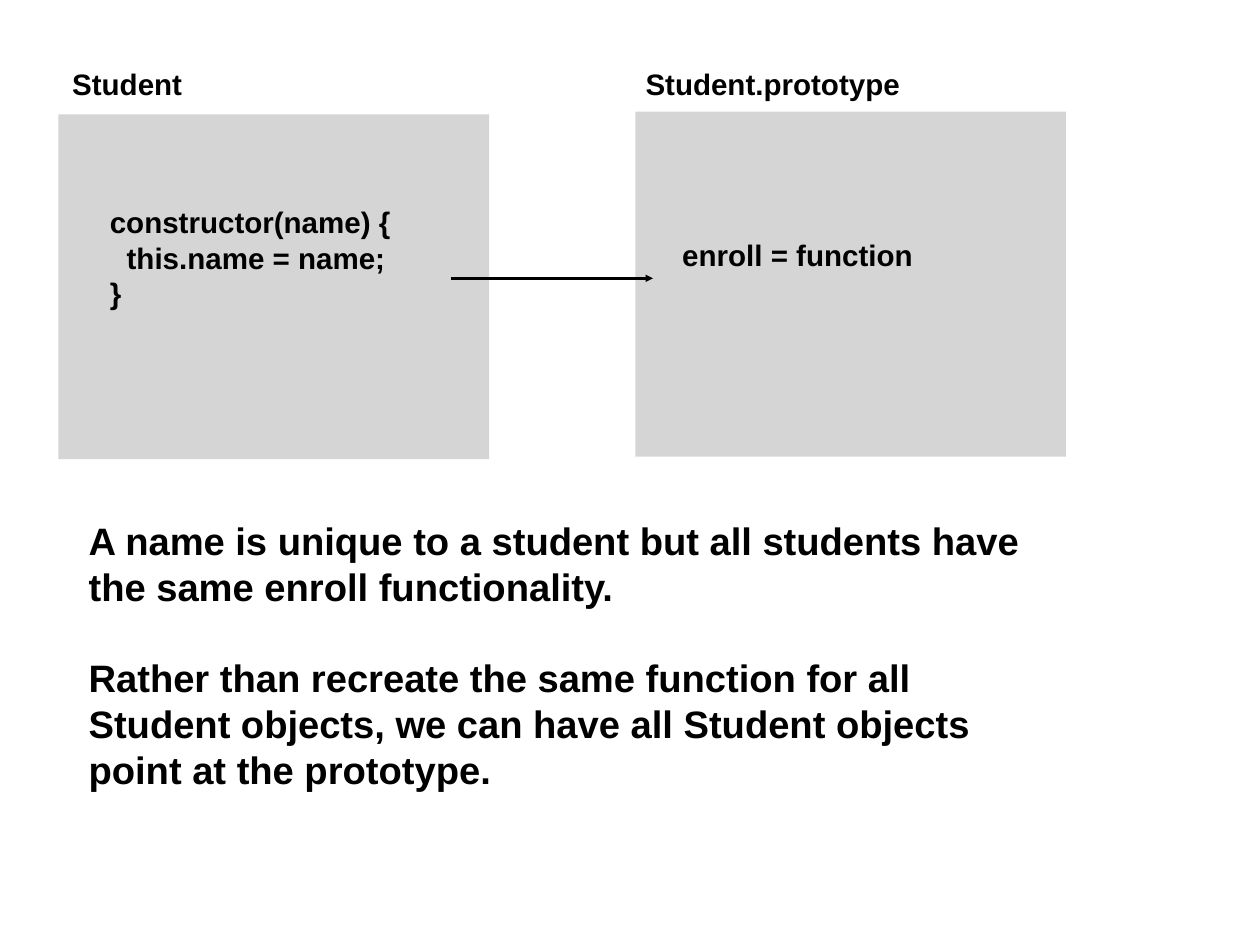
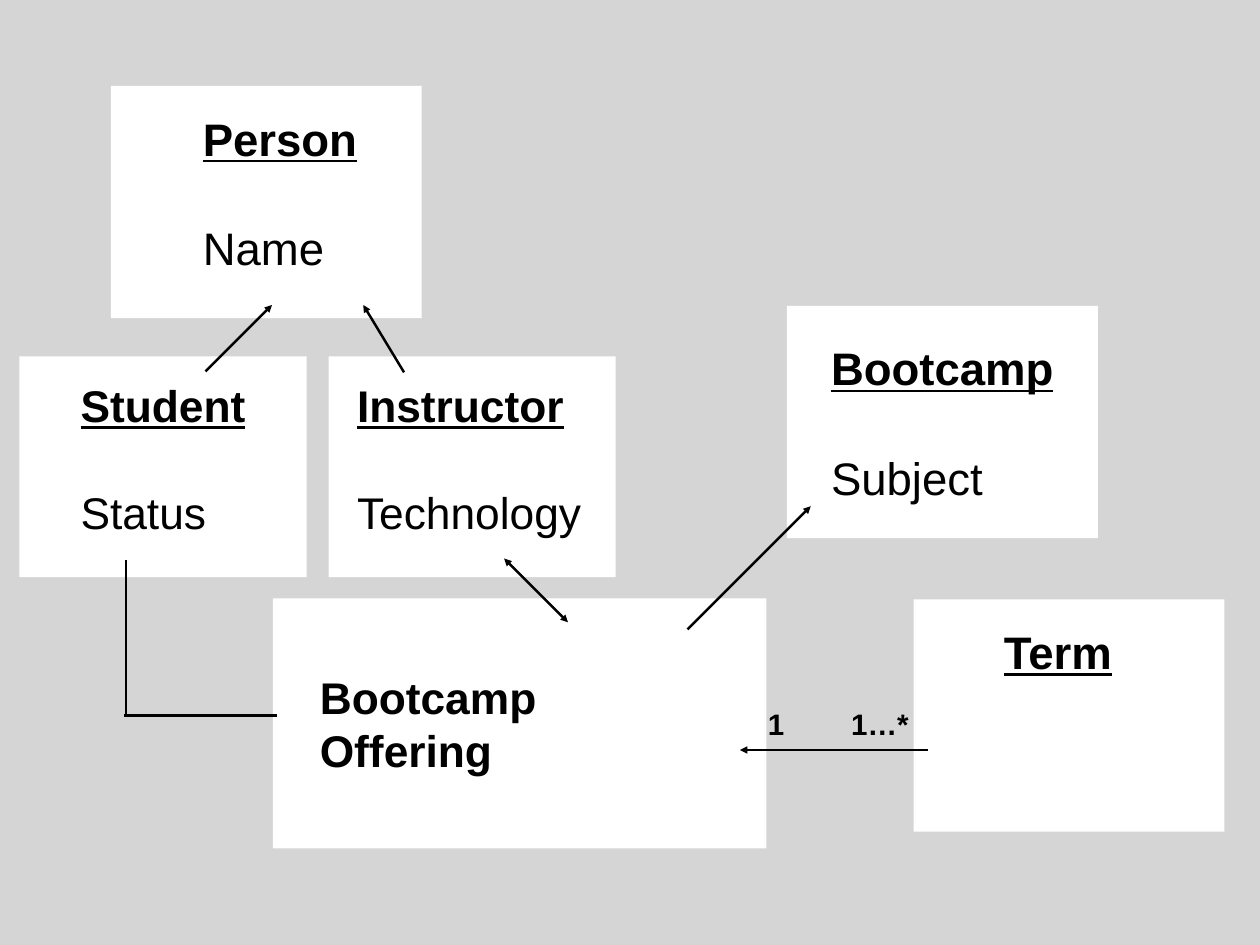
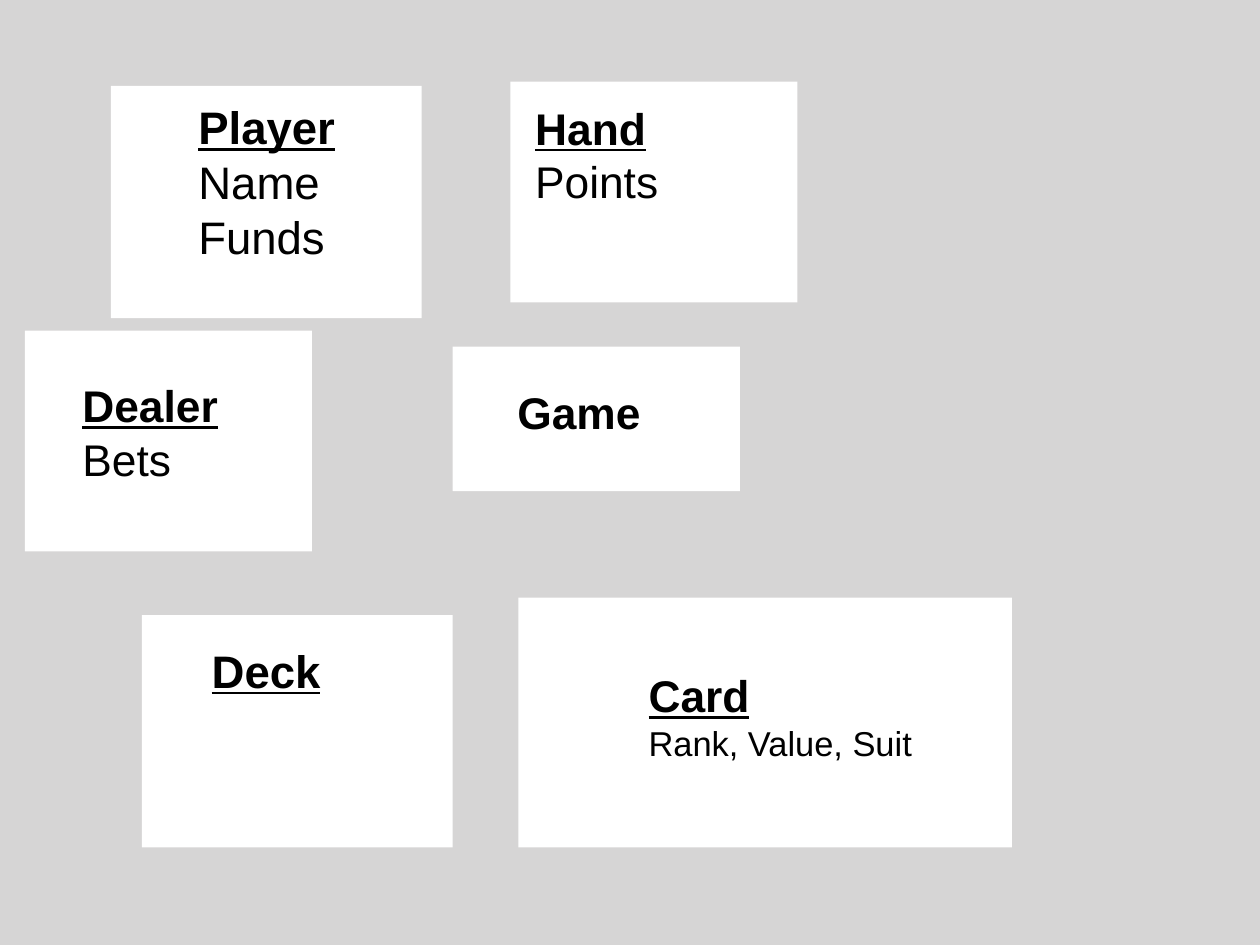
from lxml import etree
from pptx import Presentation
from pptx.dml.color import RGBColor
from pptx.enum.shapes import MSO_CONNECTOR, MSO_SHAPE
from pptx.enum.text import MSO_ANCHOR, MSO_AUTO_SIZE, PP_ALIGN
from pptx.oxml.ns import qn
from pptx.util import Inches, Pt

RECT = MSO_SHAPE.RECTANGLE
LINE = MSO_CONNECTOR.STRAIGHT
TOP, MIDDLE = MSO_ANCHOR.TOP, MSO_ANCHOR.MIDDLE
LEFT, CENTER = PP_ALIGN.LEFT, PP_ALIGN.CENTER
GROW = MSO_AUTO_SIZE.SHAPE_TO_FIT_TEXT

FONT = "Arial"
BLACK, WHITE, GREY = "000000", "FFFFFF", "D6D5D5"
LARGE, MEDIUM, WIDE, LOW = (3.51, 2.62), (3.24, 2.49), (5.57, 2.82), (3.24, 1.63)
PANEL = (4.86, 3.89)
LEAD = 1.2


def color(code):
    return RGBColor.from_string(code)


def add_page(deck, back):
    page = deck.slides.add_slide(deck.slide_layouts[6])
    page.background.fill.solid()
    page.background.fill.fore_color.rgb = color(back)
    return page


def add_box(page, place, size, fill):
    box = page.shapes.add_shape(RECT, *map(Inches, place + size))
    box.shadow.inherit = False
    box.fill.solid()
    box.fill.fore_color.rgb = color(fill)
    box.line.fill.background()


def add_text(page, area, lines, size=24, anchor=MIDDLE, align=LEFT):
    frame = page.shapes.add_textbox(*map(Inches, area)).text_frame
    frame.margin_left = frame.margin_right = Inches(0.06)
    frame.margin_top = frame.margin_bottom = Inches(0.06)
    frame.vertical_anchor = anchor
    frame.word_wrap = True
    frame.auto_size = GROW
    frame.text = "\n".join(lines)
    for item in frame.paragraphs:
        item.alignment = align
        for run in item.runs:
            run.font.name = FONT
            run.font.size = Pt(size)
            run.font.bold = True
            run.font.color.rgb = color(BLACK)
    return frame.paragraphs


def add_label(page, area, text):
    add_text(page, area, [text], align=CENTER)


def add_card(page, place, size, area, lines, points=36, small=None,
             gap=False, under=True):
    add_box(page, place, size, WHITE)
    head, *body = add_text(page, area, lines, points, TOP)
    head.runs[0].font.underline = under
    for item in body:
        font = item.runs[0].font
        font.bold = False
        font.size = Pt(small or points)
        if gap:
            item.space_before = Pt(points * LEAD)


def add_line(page, start, stop, *ends):
    link = page.shapes.add_connector(LINE, *map(Inches, start + stop))
    link.line.color.rgb = color(BLACK)
    link.line.width = Pt(2)
    stroke = link.line._get_or_add_ln()
    for end in ends:
        etree.SubElement(stroke, qn("a:" + end), type="triangle")
    etree.SubElement(link._element.spPr, qn("a:effectLst"))


def draw_proto(deck):
    page = add_page(deck, WHITE)
    add_box(page, (0.66, 1.29), PANEL, GREY)
    add_box(page, (7.17, 1.26), PANEL, GREY)
    add_label(page, (0.66, 0.69, 1.55, 0.51), "Student")
    add_label(page, (7.13, 0.69, 3.18, 0.51), "Student.prototype")
    code = add_text(page, (1.18, 2.25, 3.6, 1.31),
                    ["constructor(name) {", "this.name = name;", "}"])
    code[1]._p.get_or_add_pPr().set("marL", str(Inches(0.19)))
    add_text(page, (7.64, 2.62, 3, 0.51), ["enroll = function"])
    add_line(page, (5.09, 3.14), (7.37, 3.14), "tailEnd")
    notes = add_text(page, (0.94, 5.78, 10.98, 3.21), [
        "A name is unique to a student but all students have the same "
        "enroll functionality.",
        "Rather than recreate the same function for all Student objects, "
        "we can have all Student objects point at the prototype.",
    ], 31)
    notes[1].space_before = Pt(31 * LEAD)


def draw_camp(deck):
    page = add_page(deck, GREY)
    add_card(page, (1.25, 0.97), LARGE, (2.23, 1.19, 2.2, 1.96),
             ["Person", "Name"], 37, gap=True)
    add_card(page, (0.22, 4.02), MEDIUM, (0.85, 4.21, 2.3, 1.91),
             ["Student", "Status"], gap=True)
    add_card(page, (3.71, 4.02), MEDIUM, (3.97, 4.21, 2.9, 1.91),
             ["Instructor", "Technology"], gap=True)
    add_card(page, (3.08, 6.75), WIDE, (3.55, 7.5, 3.2, 1.31),
             ["Bootcamp Offering"], under=False)
    add_card(page, (8.88, 3.45), LARGE, (9.32, 3.78, 2.9, 1.96),
             ["Bootcamp", "Subject"], 37, gap=True)
    add_card(page, (10.31, 6.76), LARGE, (11.27, 6.98, 1.8, 0.73), ["Term"], 37)
    for start, stop in (
        ((2.32, 4.19), (3.07, 3.44)),
        ((4.56, 4.2), (4.1, 3.44)),
        ((7.76, 7.1), (9.15, 5.71)),
        ((10.47, 8.46), (8.35, 8.46)),
    ):
        add_line(page, start, stop, "tailEnd")
    add_line(page, (5.69, 6.3), (6.41, 7.02), "headEnd", "tailEnd")
    add_line(page, (1.42, 8.09), (1.42, 6.32))
    add_line(page, (3.13, 8.07), (1.4, 8.07))
    add_label(page, (8.51, 7.91, 0.5, 0.51), "1")
    add_label(page, (9.43, 7.91, 1, 0.51), "1…*")


def draw_game(deck):
    page = add_page(deck, GREY)
    add_card(page, (1.25, 0.97), LARGE, (2.18, 1.06, 2.2, 1.96),
             ["Player", "Name", "Funds"], 37)
    add_card(page, (5.76, 0.92), MEDIUM, (5.98, 1.08, 2, 1.31), ["Hand", "Points"])
    add_card(page, (0.28, 3.73), MEDIUM, (0.87, 4.21, 2, 1.31), ["Dealer", "Bets"])
    add_card(page, (5.11, 3.91), LOW, (5.78, 4.29, 2, 0.71), ["Game"], under=False)
    add_card(page, (1.6, 6.94), LARGE, (2.33, 7.19, 1.8, 0.73), ["Deck"], 37)
    add_card(page, (5.85, 6.74), WIDE, (7.26, 7.48, 3.4, 1.18),
             ["Card", "Rank, Value, Suit"], small=28)


def main():
    deck = Presentation()
    deck.slide_width, deck.slide_height = Inches(14.22), Inches(10.66)
    draw_proto(deck)
    draw_camp(deck)
    draw_game(deck)
    deck.save("out.pptx")


if __name__ == "__main__":
    main()
